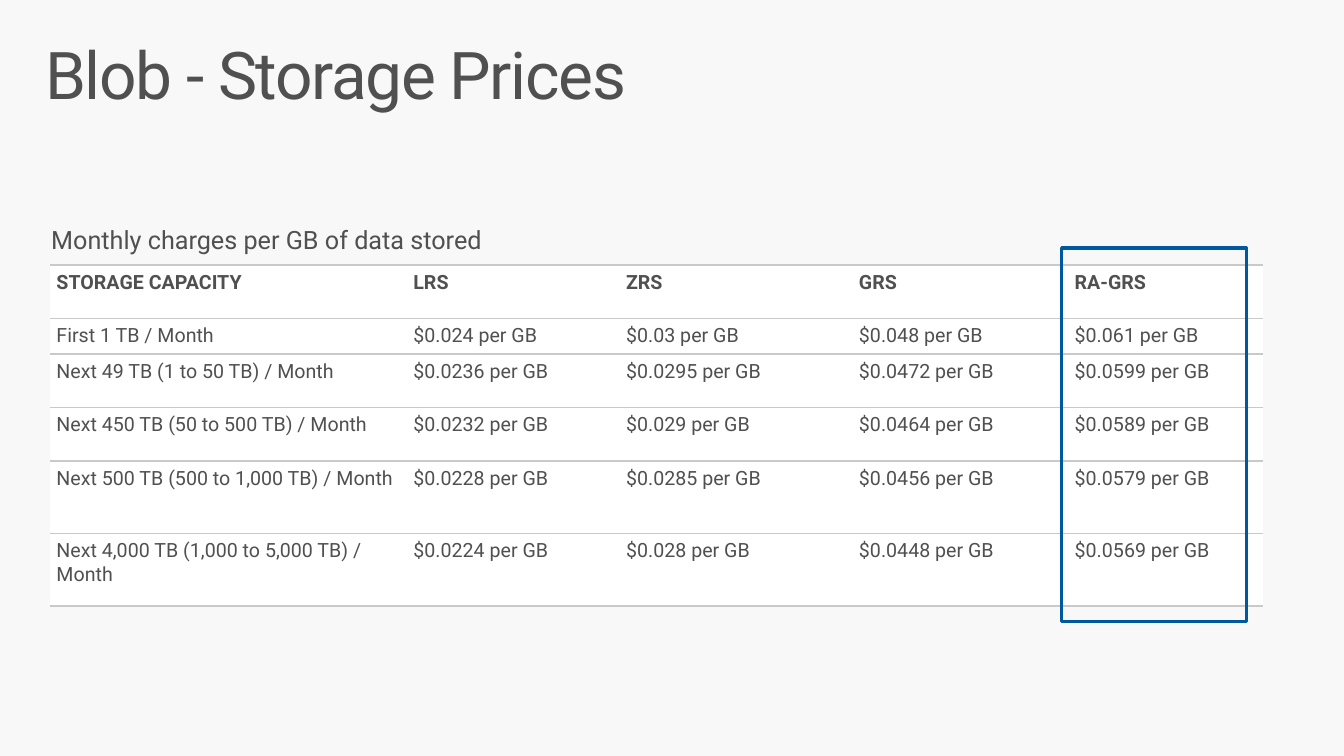
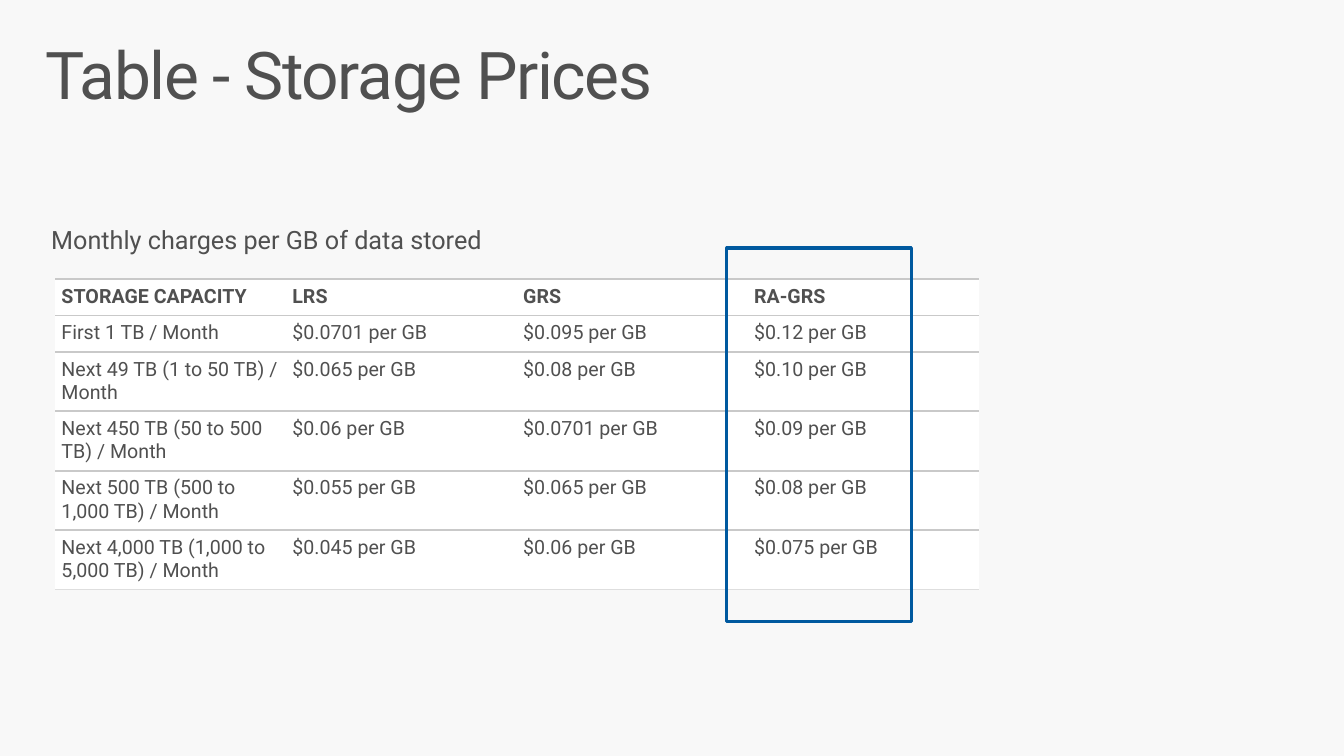
"""Build two slides of storage price tables."""
from dataclasses import dataclass

from lxml import etree
from pptx import Presentation
from pptx.dml.color import RGBColor
from pptx.enum.shapes import MSO_SHAPE
from pptx.enum.text import MSO_ANCHOR
from pptx.oxml.ns import qn
from pptx.util import Inches, Pt

RECT = MSO_SHAPE.RECTANGLE
TOP = MSO_ANCHOR.TOP
FONT = "Roboto"
INK, PAPER, WHITE = "505050", "F8F8F8", "FFFFFF"
RULE, PALE_RULE, ACCENT = "C9C9C9", "DEDEDE", "00599F"
CELL_INSET = 0.06
TITLE_ONLY = 5


@dataclass(frozen=True)
class Border:
    color: str
    pts: float


@dataclass(frozen=True)
class PriceSlide:
    title: str
    left: float
    top: float
    cols: list[float]
    rows: list[float]
    plans: list[str]
    prices: list[list[str]]
    last_rule: Border
    mark_left: float


CAPTION = "Monthly charges per GB of data stored"
TIERS = [
    "First 1 TB / Month",
    "Next 49 TB (1 to 50 TB) / Month",
    "Next 450 TB (50 to 500 TB) / Month",
    "Next 500 TB (500 to 1,000 TB) / Month",
    "Next 4,000 TB (1,000 to 5,000 TB) / Month",
]
GRID_RULE = Border(RULE, 1.5)
SLIDES = [
    PriceSlide(
        "Blob - Storage Prices", 0.5, 2.63,
        [3.54, 2.11, 2.31, 2.14, 1.93],
        [0.53, 0.35, 0.53, 0.53, 0.72, 0.72],
        ["LRS", "ZRS", "GRS", "RA-GRS"],
        [["0.024", "0.03", "0.048", "0.061"],
         ["0.0236", "0.0295", "0.0472", "0.0599"],
         ["0.0232", "0.029", "0.0464", "0.0589"],
         ["0.0228", "0.0285", "0.0456", "0.0579"],
         ["0.0224", "0.028", "0.0448", "0.0569"]],
        GRID_RULE, 10.53,
    ),
    PriceSlide(
        "Table - Storage Prices", 0.55, 2.77,
        [2.29] * 4,
        [0.36] * 2 + [0.59] * 4,
        ["LRS", "GRS", "RA-GRS"],
        [["0.0701", "0.095", "0.12"],
         ["0.065", "0.08", "0.10"],
         ["0.06", "0.0701", "0.09"],
         ["0.055", "0.065", "0.08"],
         ["0.045", "0.06", "0.075"]],
        Border(PALE_RULE, 0.75), 7.21,
    ),
]


def rgb(color: str) -> RGBColor:
    """Turn a hex string into a colour."""
    return RGBColor.from_string(color)


def add_run(p, text: str, size: float, bold: bool = False):
    """Add one run in the deck's font and ink."""
    r = p.add_run()
    r.text = text
    r.font.name, r.font.size, r.font.bold = FONT, Pt(size), bold
    r.font.color.rgb = rgb(INK)
    return r


def set_border(cell, side: str, border: Border | None) -> None:
    """Draw or clear one side of a cell."""
    ln = etree.SubElement(cell._tc.get_or_add_tcPr(), qn(f"a:{side}"))
    if border is None:
        etree.SubElement(ln, qn("a:noFill"))
        return
    ln.set("w", str(Pt(border.pts)))
    fill = etree.SubElement(ln, qn("a:solidFill"))
    etree.SubElement(fill, qn("a:srgbClr")).set("val", border.color)


def add_title(s, text: str) -> None:
    """Place and format the slide title."""
    sp = s.shapes.title
    sp.left, sp.top, sp.width, sp.height = map(Inches, (0.29, 0.32, 12.75, 0.98))
    tf = sp.text_frame
    tf.word_wrap, tf.vertical_anchor = True, TOP
    tf.margin_left = tf.margin_right = Inches(0.16)
    tf.margin_top = tf.margin_bottom = Inches(0.1)
    p = tf.paragraphs[0]
    p.alignment, p.line_spacing = 1, 0.9
    r = add_run(p, text, 47)
    r.font._element.set("spc", "-100")


def add_caption(s, text: str) -> None:
    """Add the line above the table."""
    sp = s.shapes.add_textbox(*map(Inches, (0.41, 2.18, 4.63, 0.4)))
    tf = sp.text_frame
    tf.word_wrap = True
    add_run(tf.paragraphs[0], text, 18)


def fill_cell(cell, text: str, bold: bool, bottom: Border) -> None:
    """Write and style one table cell."""
    cell.margin_left = cell.margin_right = Inches(CELL_INSET)
    cell.margin_top = cell.margin_bottom = Inches(CELL_INSET)
    borders = {"lnL": None, "lnR": None, "lnT": GRID_RULE, "lnB": bottom}
    for side, border in borders.items():
        set_border(cell, side, border)
    cell.fill.solid()
    cell.fill.fore_color.rgb = rgb(WHITE)
    add_run(cell.text_frame.paragraphs[0], text, 14, bold)


def add_prices(s, data: PriceSlide) -> None:
    """Add the price table."""
    body = [[tier] + [f"${v} per GB" for v in row]
            for tier, row in zip(TIERS, data.prices)]
    texts = [["STORAGE CAPACITY"] + data.plans] + body
    size = (data.left, data.top, sum(data.cols), sum(data.rows))
    tbl = s.shapes.add_table(len(texts), len(data.cols), *map(Inches, size)).table
    tbl.first_row = tbl.horz_banding = False
    for col, width in zip(tbl.columns, data.cols):
        col.width = Inches(width)
    for i, (row, height) in enumerate(zip(tbl.rows, data.rows)):
        row.height = Inches(height)
        bottom = data.last_rule if i == len(texts) - 1 else GRID_RULE
        for cell, text in zip(row.cells, texts[i]):
            fill_cell(cell, text, i == 0, bottom)


def add_mark(s, left: float) -> None:
    """Frame the highlighted column."""
    sp = s.shapes.add_shape(RECT, *map(Inches, (left, 2.46, 1.83, 3.71)))
    sp.shadow.inherit = False
    sp.fill.background()
    sp.line.color.rgb = rgb(ACCENT)
    sp.line.width = Pt(2.25)


def main() -> None:
    """Build and save the deck."""
    prs = Presentation()
    prs.slide_width, prs.slide_height = Inches(13.33), Inches(7.5)
    bg = prs.slide_master.background.fill
    bg.solid()
    bg.fore_color.rgb = rgb(PAPER)
    for data in SLIDES:
        s = prs.slides.add_slide(prs.slide_layouts[TITLE_ONLY])
        add_title(s, data.title)
        add_caption(s, CAPTION)
        add_prices(s, data)
        add_mark(s, data.mark_left)
    prs.save("out.pptx")


if __name__ == "__main__":
    main()
